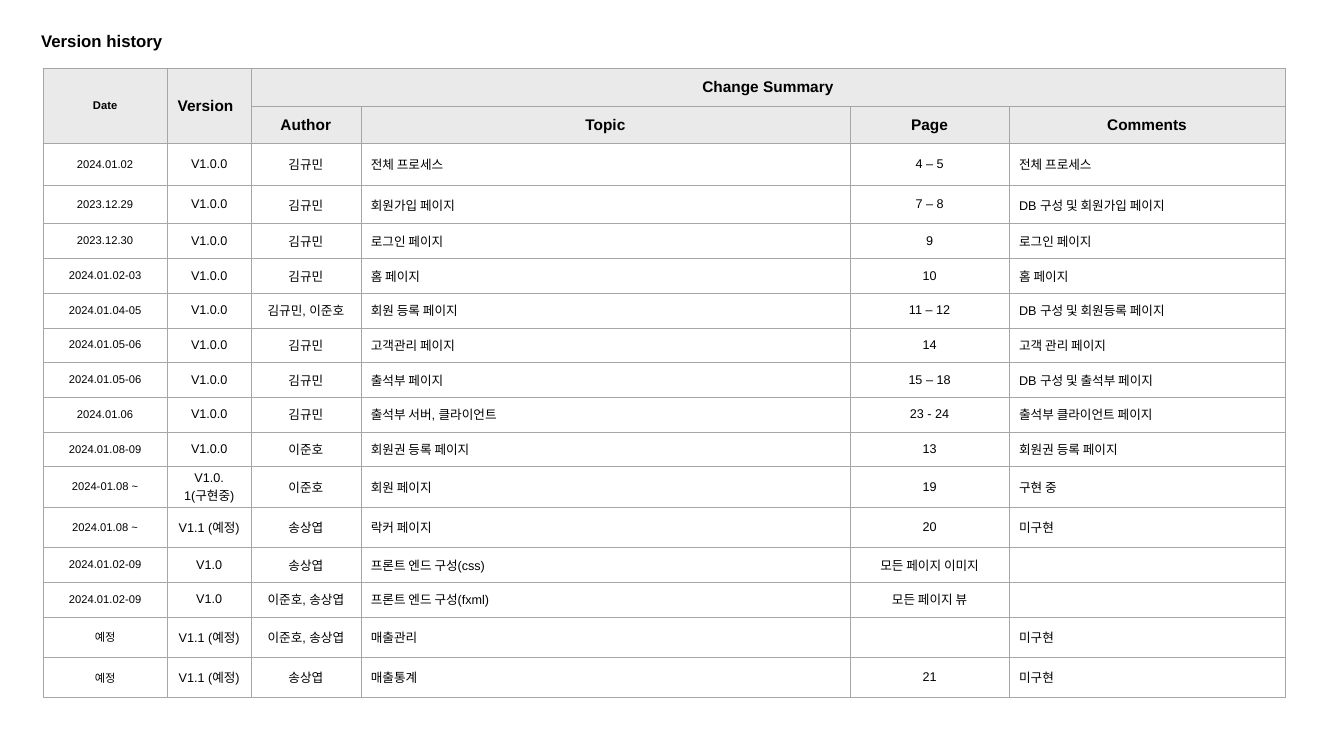
from dataclasses import dataclass
from typing import NamedTuple

from lxml import etree
from pptx import Presentation
from pptx.dml.color import RGBColor
from pptx.enum import text
from pptx.oxml import ns
from pptx.util import Pt


@dataclass(frozen=True)
class Theme:
    """Colours, font and type sizes of the slide."""
    font: str = "Arial"
    ink: str = "000000"
    border: str = "A6A6A6"
    header: str = "EAEAEA"
    title_size: float = 12
    header_size: float = 11
    body_size: float = 9
    small_size: float = 8
    border_width: float = 0.25


class Column(NamedTuple):
    """Width in points, type size and alignment of one table column."""
    width: float
    size: float
    centred: bool


class Heading(NamedTuple):
    """A header cell with its place, reach and format."""
    label: str
    row: int
    column: int
    last_row: int
    last_column: int
    size: float
    centred: bool = True


class Change(NamedTuple):
    """One entry of the version history."""
    date: str
    version: str
    author: str
    topic: str
    page: str
    comments: str


THEME = Theme()
TABLE_LEFT, TABLE_TOP = 30.5, 48.9
ROW_HEIGHT = 24.8
TOP_ROW_HEIGHTS = [26.8, 26.8, 30.1, 27.2]
COLUMNS = [
    Column(89.2, THEME.small_size, True),
    Column(59.5, THEME.body_size, True),
    Column(78.5, THEME.body_size, True),
    Column(349.5, THEME.body_size, False),
    Column(113.6, THEME.body_size, True),
    Column(197.2, THEME.body_size, False),
]
HEADINGS = [
    Heading("Date", 0, 0, 1, 0, THEME.small_size),
    Heading("Version", 0, 1, 1, 1, THEME.header_size, centred=False),
    Heading("Change Summary", 0, 2, 0, 5, THEME.header_size),
    *(Heading(label, 1, column, 1, column, THEME.header_size)
      for column, label in enumerate(["Author", "Topic", "Page", "Comments"], 2)),
]
CHANGES = [
    Change("2024.01.02", "V1.0.0", "김규민", "전체 프로세스", "4 – 5", "전체 프로세스"),
    Change("2023.12.29", "V1.0.0", "김규민", "회원가입 페이지", "7 – 8", "DB 구성 및 회원가입 페이지"),
    Change("2023.12.30", "V1.0.0", "김규민", "로그인 페이지", "9", "로그인 페이지"),
    Change("2024.01.02-03", "V1.0.0", "김규민", "홈 페이지", "10", "홈 페이지"),
    Change("2024.01.04-05", "V1.0.0", "김규민, 이준호", "회원 등록 페이지", "11 – 12", "DB 구성 및 회원등록 페이지"),
    Change("2024.01.05-06", "V1.0.0", "김규민", "고객관리 페이지", "14", "고객 관리 페이지"),
    Change("2024.01.05-06", "V1.0.0", "김규민", "출석부 페이지", "15 – 18", "DB 구성 및 출석부 페이지"),
    Change("2024.01.06", "V1.0.0", "김규민", "출석부 서버, 클라이언트", "23 - 24", "출석부 클라이언트 페이지"),
    Change("2024.01.08-09", "V1.0.0", "이준호", "회원권 등록 페이지", "13", "회원권 등록 페이지"),
    Change("2024-01.08 ~", "V1.0.1(구현중)", "이준호", "회원 페이지", "19", "구현 중"),
    Change("2024.01.08 ~", "V1.1 (예정)", "송상엽", "락커 페이지", "20", "미구현"),
    Change("2024.01.02-09", "V1.0", "송상엽", "프론트 엔드 구성(css)", "모든 페이지 이미지", ""),
    Change("2024.01.02-09", "V1.0", "이준호, 송상엽", "프론트 엔드 구성(fxml)", "모든 페이지 뷰", ""),
    Change("예정", "V1.1 (예정)", "이준호, 송상엽", "매출관리", "", "미구현"),
    Change("예정", "V1.1 (예정)", "송상엽", "매출통계", "21", "미구현"),
]


def write(para, words: str, *, size: float, bold: bool = False,
          centred: bool = False, space_before: int = 0) -> None:
    """Write words into a paragraph; space_before is a percentage of the line."""
    para.alignment = text.PP_ALIGN.CENTER if centred else text.PP_ALIGN.LEFT
    if space_before:
        spacing = etree.SubElement(para._p.get_or_add_pPr(), ns.qn("a:spcBef"))
        etree.SubElement(spacing, ns.qn("a:spcPct"), val=str(space_before * 1000))
    if not words:
        etree.SubElement(para._p, ns.qn("a:endParaRPr"), sz=str(int(size * 100)))
        return
    span = para.add_run()
    span.text = words
    span.font.name = THEME.font
    span.font.size = Pt(size)
    span.font.bold = bold
    span.font.color.rgb = RGBColor.from_string(THEME.ink)


def draw_borders(cell) -> None:
    """Draw a thin line on all four sides of a cell."""
    properties = cell._tc.get_or_add_tcPr()
    for side in ("lnL", "lnR", "lnT", "lnB"):
        line = etree.SubElement(properties, ns.qn(f"a:{side}"), w=str(Pt(THEME.border_width)))
        fill = etree.SubElement(line, ns.qn("a:solidFill"))
        etree.SubElement(fill, ns.qn("a:srgbClr"), val=THEME.border)


def fill_cell(cell, words: str, *, size: float, bold: bool, centred: bool) -> None:
    """Write a table cell, centred vertically."""
    cell.vertical_anchor = text.MSO_ANCHOR.MIDDLE
    write(cell.text_frame.paragraphs[0], words, size=size, bold=bold,
          centred=centred, space_before=20)


def add_title(page, words: str) -> None:
    """Add the slide title."""
    box = page.shapes.add_textbox(Pt(22.3), Pt(18.7), Pt(725), Pt(21.6))
    box.text_frame.word_wrap = True
    box.text_frame.auto_size = text.MSO_AUTO_SIZE.SHAPE_TO_FIT_TEXT
    write(box.text_frame.paragraphs[0], words, size=THEME.title_size, bold=True)


def add_history(page) -> None:
    """Add the version table with its two header rows."""
    header_rows = 2
    row_count = header_rows + len(CHANGES)
    heights = TOP_ROW_HEIGHTS + [ROW_HEIGHT] * (row_count - len(TOP_ROW_HEIGHTS))
    width = sum(column.width for column in COLUMNS)
    table = page.shapes.add_table(row_count, len(COLUMNS), Pt(TABLE_LEFT), Pt(TABLE_TOP),
                                  Pt(width), Pt(sum(heights))).table
    table.first_row = table.horz_banding = False
    for table_column, column in zip(table.columns, COLUMNS):
        table_column.width = Pt(column.width)
    for index, (table_row, height) in enumerate(zip(table.rows, heights)):
        table_row.height = Pt(height)
        for cell in table_row.cells:
            draw_borders(cell)
            if index < header_rows:
                cell.fill.solid()
                cell.fill.fore_color.rgb = RGBColor.from_string(THEME.header)
            else:
                cell.fill.background()
    for heading in HEADINGS:
        cell = table.cell(heading.row, heading.column)
        last = table.cell(heading.last_row, heading.last_column)
        if (heading.row, heading.column) != (heading.last_row, heading.last_column):
            cell.merge(last)
        fill_cell(cell, heading.label, size=heading.size, bold=True, centred=heading.centred)
    for row, change in enumerate(CHANGES, header_rows):
        for index, (words, column) in enumerate(zip(change, COLUMNS)):
            fill_cell(table.cell(row, index), words, size=column.size,
                      bold=False, centred=column.centred)


def main() -> None:
    """Build the version history slide."""
    deck = Presentation()
    deck.slide_width, deck.slide_height = Pt(960), Pt(540)
    page = deck.slides.add_slide(deck.slide_layouts[6])
    add_title(page, "Version history")
    add_history(page)
    deck.save("out.pptx")


if __name__ == "__main__":
    main()
